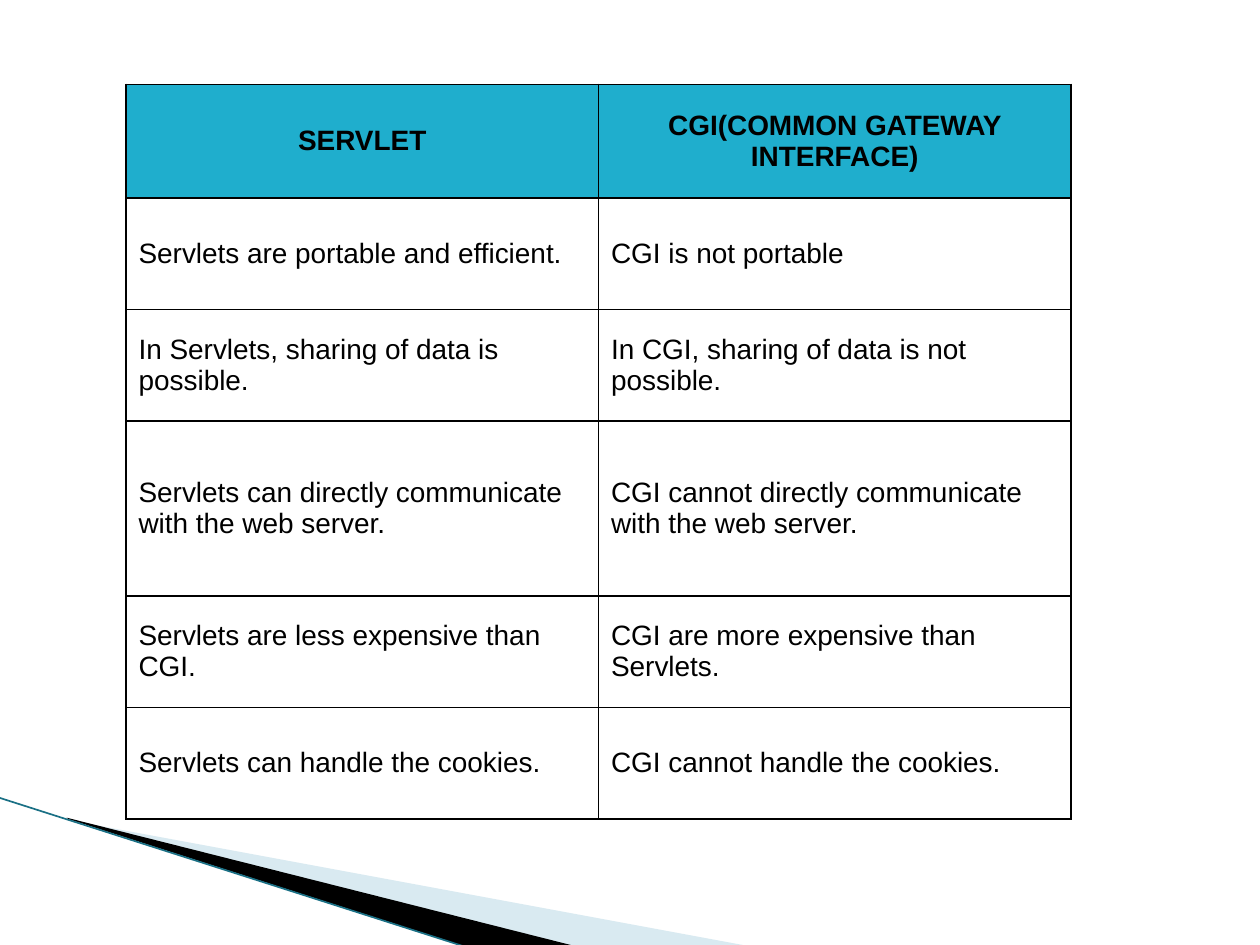
from dataclasses import dataclass

from lxml.etree import SubElement
from pptx import Presentation
from pptx.dml.color import RGBColor
from pptx.enum.shapes import MSO_CONNECTOR
from pptx.enum.text import MSO_ANCHOR, PP_ALIGN
from pptx.oxml import parse_xml
from pptx.oxml.ns import nsdecls, qn
from pptx.slide import Slide
from pptx.table import _Cell
from pptx.util import Inches, Pt

COLORS = {
    "header": "1FAECD",
    "ink": "000000",
    "pale": "A0CBDC",
    "edge": "1A7085",
}


@dataclass
class Wedge:
    frame: tuple[float, float, float, float]
    points: list[tuple[float, float]]
    color: str
    opacity: int = 100


@dataclass
class CellStyle:
    margin_x: float
    margin_y: float
    bold: bool
    alignment: PP_ALIGN
    fill: str | None = None


HEADER_STYLE = CellStyle(0.06, 0.06, True, PP_ALIGN.CENTER, "header")
BODY_STYLE = CellStyle(0.1, 0.05, False, PP_ALIGN.LEFT)

WEDGES = [
    Wedge(
        (0.78, 5.47, 4.16, 1.58),
        [(0.55, 6.51), (5.95, 7.51), (4.56, 7.51), (0.55, 6.5)],
        "pale",
        40,
    ),
    Wedge(
        (-0.06, 6.33, 4.16, 0.92),
        [(0.53, 6.49), (4.57, 7.51), (3.72, 7.52), (0.54, 6.5)],
        "ink",
    ),
]

TABLE_HEIGHT = 5.83
HEADER_HEIGHT = 0.9
TALL_HEIGHT = 1.39
SHORT_HEIGHT = (TABLE_HEIGHT - HEADER_HEIGHT - TALL_HEIGHT) / 4
ROW_HEIGHTS = [
    HEADER_HEIGHT, SHORT_HEIGHT, SHORT_HEIGHT, TALL_HEIGHT, SHORT_HEIGHT, SHORT_HEIGHT,
]
COLUMN_WIDTH = 3.75
ROWS = [
    ("SERVLET", "CGI(COMMON GATEWAY INTERFACE)"),
    ("Servlets are portable and efficient.", "CGI is not portable"),
    ("In Servlets, sharing of data is possible.", "In CGI, sharing of data is not possible."),
    (
        "Servlets can directly communicate with the web server.",
        "CGI cannot directly communicate with the web server.",
    ),
    ("Servlets are less expensive than CGI.", "CGI are more expensive than Servlets."),
    ("Servlets can handle the cookies.", "CGI cannot handle the cookies."),
]


def rgb(name: str) -> RGBColor:
    return RGBColor.from_string(COLORS[name])


def set_attributes(target: object, values: dict[str, object]) -> None:
    for name, value in values.items():
        setattr(target, name, value)


def draw_wedge(slide: Slide, wedge: Wedge) -> None:
    start, *rest = [(Inches(x), Inches(y)) for x, y in wedge.points]
    builder = slide.shapes.build_freeform(*start)
    builder.add_line_segments(rest, close=True)
    shape = builder.convert_to_shape()
    left, top, width, height = (Inches(value) for value in wedge.frame)
    outline = next(shape._element.iter(qn("a:path")))
    for point in outline.iter(qn("a:pt")):
        point.set("x", str(int(point.get("x")) + shape.left - left))
        point.set("y", str(int(point.get("y")) + shape.top - top))
    outline.set("w", str(width))
    outline.set("h", str(height))
    set_attributes(shape, {"left": left, "top": top, "width": width, "height": height})
    shape.shadow.inherit = False
    shape.fill.solid()
    shape.fill.fore_color.rgb = rgb(wedge.color)
    shape.line.fill.background()
    if wedge.opacity < 100:
        color = shape.fill._xPr.find(qn("a:solidFill"))[0]
        SubElement(color, qn("a:alpha"), val=str(wedge.opacity * 1000))


def draw_edge(slide: Slide) -> None:
    connector = slide.shapes.add_connector(
        MSO_CONNECTOR.STRAIGHT, Inches(-0.01), Inches(6.33), Inches(3.71), Inches(7.52)
    )
    connector.line.color.rgb = rgb("edge")
    connector.line.width = Pt(0.95)
    SubElement(connector._element.spPr, qn("a:effectLst"))


def add_borders(cell: _Cell) -> None:
    properties = cell._tc.get_or_add_tcPr()
    for index, side in enumerate(("lnL", "lnR", "lnT", "lnB")):
        border = parse_xml(
            f'<a:{side} {nsdecls("a")} w="{Pt(1)}"><a:solidFill>'
            f'<a:srgbClr val="{COLORS["ink"]}"/></a:solidFill></a:{side}>'
        )
        properties.insert(index, border)


def fill_cell(cell: _Cell, text: str, style: CellStyle) -> None:
    cell.text = text
    set_attributes(cell, {
        "margin_left": Inches(style.margin_x),
        "margin_right": Inches(style.margin_x),
        "margin_top": Inches(style.margin_y),
        "margin_bottom": Inches(style.margin_y),
        "vertical_anchor": MSO_ANCHOR.MIDDLE,
    })
    paragraph = cell.text_frame.paragraphs[0]
    paragraph.alignment = style.alignment
    font = paragraph.runs[0].font
    set_attributes(font, {"name": "Arial", "size": Pt(16), "bold": style.bold})
    font.color.rgb = rgb("ink")
    if style.fill:
        cell.fill.solid()
        cell.fill.fore_color.rgb = rgb(style.fill)
    else:
        cell.fill.background()
    add_borders(cell)


def draw_table(slide: Slide) -> None:
    column_count = len(ROWS[0])
    table = slide.shapes.add_table(
        len(ROWS), column_count, Inches(1), Inches(0.67),
        Inches(COLUMN_WIDTH * column_count), Inches(TABLE_HEIGHT),
    ).table
    table.horz_banding = False
    for column in table.columns:
        column.width = Inches(COLUMN_WIDTH)
    for row_index, (height, texts) in enumerate(zip(ROW_HEIGHTS, ROWS)):
        table.rows[row_index].height = Inches(height)
        style = BODY_STYLE if row_index else HEADER_STYLE
        for column_index, text in enumerate(texts):
            fill_cell(table.cell(row_index, column_index), text, style)


def main() -> None:
    presentation = Presentation()
    presentation.slide_width = Inches(10)
    presentation.slide_height = Inches(7.5)
    slide = presentation.slides.add_slide(presentation.slide_layouts[6])
    for wedge in WEDGES:
        draw_wedge(slide, wedge)
    draw_edge(slide)
    draw_table(slide)
    presentation.save("out.pptx")


if __name__ == "__main__":
    main()
